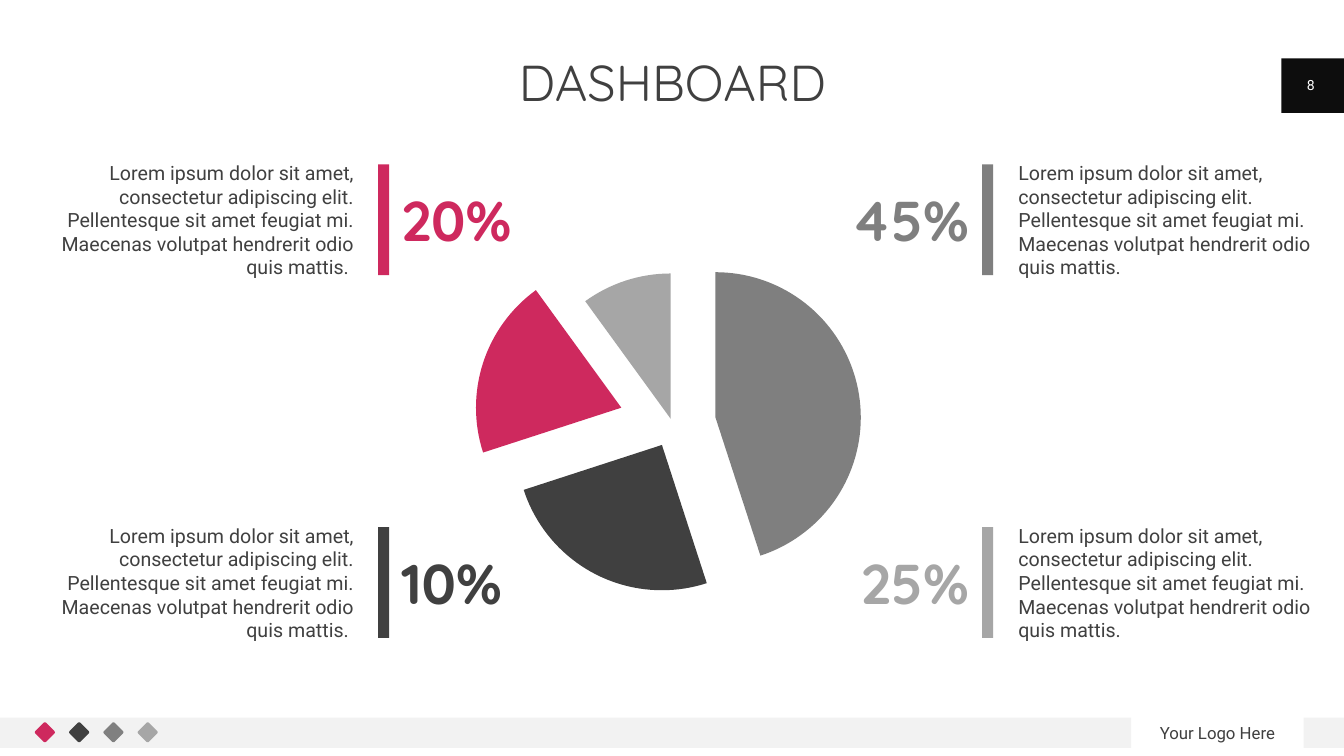
"""Build the dashboard slide with an exploded pie and four captions."""
from lxml import etree
from pptx import Presentation, util as u
from pptx.chart import data as chart_data
from pptx.dml import color
from pptx.enum import chart as charts, shapes, text

RED, DARK, GREY, SILVER = "CE295E", "404040", "7F7F7F", "A6A6A6"
LEFT, CENTER, RIGHT = text.PP_ALIGN.LEFT, text.PP_ALIGN.CENTER, text.PP_ALIGN.RIGHT
CAPTION = ("Lorem ipsum dolor sit amet, consectetur adipiscing elit. "
           "Pellentesque sit amet feugiat mi. Maecenas volutpat hendrerit odio quis mattis.")


def rgb(value):
    """Turn a hex string into a colour."""
    return color.RGBColor.from_string(value)


def apply(target, formats):
    """Set every attribute named in a dict."""
    for name, value in formats.items():
        setattr(target, name, value)


class Slide:
    """Hold the style and the current slide."""

    heading, body = "Quicksand", "Roboto"

    def __init__(self, deck):
        """Add a blank slide to the deck."""
        self.page = deck.slides.add_slide(deck.slide_layouts[6])

    def block(self, left, top, width, height, fill, kind=shapes.MSO_SHAPE.RECTANGLE):
        """Add a filled shape without outline."""
        box = self.page.shapes.add_shape(kind, *map(u.Inches, (left, top, width, height)))
        box.shadow.inherit = False
        box.fill.solid()
        box.fill.fore_color.rgb = rgb(fill)
        box.line.fill.background()
        return box

    def diamond(self, left, fill):
        """Add a small rounded diamond to the footer."""
        box = self.block(left, 7.19, 0.15, 0.15, fill, shapes.MSO_SHAPE.ROUNDED_RECTANGLE)
        box.adjustments[0] = 0.11
        box.rotation = 45

    def label(self, words, left, top, width, height, size, fill=DARK, align=CENTER,
              font=None, bold=False, anchor=text.MSO_ANCHOR.MIDDLE, spacing=1.0):
        """Add a text box with a single paragraph."""
        box = self.page.shapes.add_textbox(*map(u.Inches, (left, top, width, height)))
        apply(box.text_frame, {
            "word_wrap": True, "vertical_anchor": anchor, "margin_left": 0,
            "margin_right": 0, "margin_top": 0, "margin_bottom": 0})
        para = box.text_frame.paragraphs[0]
        apply(para, {"alignment": align, "line_spacing": spacing})
        span = para.add_run()
        span.text = words
        apply(span.font, {"name": font or self.body, "size": u.Pt(size), "bold": bold})
        span.font.color.rgb = rgb(fill)

    def pie(self, left, top, width, height, slices):
        """Add a pie whose slices are (value, colour, explosion)."""
        data = chart_data.CategoryChartData()
        data.categories = [str(number + 1) for number in range(len(slices))]
        data.add_series("Series 1", [value for value, _, _ in slices])
        chart = self.page.shapes.add_chart(
            charts.XL_CHART_TYPE.PIE, *map(u.Inches, (left, top, width, height)), data).chart
        apply(chart, {"has_legend": False, "has_title": False})
        apply(chart.font, {"name": self.body, "size": u.Pt(10)})
        chart.font.color.rgb = rgb("000000")
        plot = chart.plots[0]
        plot.vary_by_categories = True
        for index, (_, fill, explosion) in enumerate(slices):
            point = plot.series[0].points[index]
            point.format.fill.solid()
            point.format.fill.fore_color.rgb = rgb(fill)
            point.format.line.fill.background()
            element = plot.series[0]._element.findall("{*}dPt")[index]
            space = etree.QName(element).namespace
            offset = etree.Element(f"{{{space}}}explosion", val=str(explosion))
            element.find("{*}spPr").addprevious(offset)
        self.frame_plot(chart, {"x": 0.27, "y": 0.16, "w": 0.46, "h": 0.68})

    def frame_plot(self, chart, extent):
        """Place the plot area inside the chart."""
        area = chart._chartSpace.find(".//{*}plotArea")
        space = etree.QName(area).namespace
        layout = area.find("{*}layout")
        if layout is None:
            layout = etree.Element(f"{{{space}}}layout")
            area.insert(0, layout)
        manual = etree.SubElement(layout, f"{{{space}}}manualLayout")
        settings = {"layoutTarget": "inner", "xMode": "edge", "yMode": "edge", **extent}
        for name, value in settings.items():
            etree.SubElement(manual, f"{{{space}}}{name}", val=str(value))

    def caption(self, share, fill, top, on_left):
        """Add a bar with its percentage and description."""
        bar, words, number = (3.75, 0.56, 3.98) if on_left else (9.74, 10.1, 7.53)
        self.block(bar, top, 0.11, 1.1, fill)
        self.label(CAPTION + " " * on_left, words, top - 0.04, 2.95, 1.18, 14,
                   align=RIGHT if on_left else LEFT)
        self.label(share, number, top + 0.21, 2.08, 0.67, 40, fill,
                   LEFT if on_left else RIGHT, self.heading, True)


def main():
    """Build and save the deck."""
    deck = Presentation()
    apply(deck, {"slide_width": u.Inches(13.33), "slide_height": u.Inches(7.5)})
    slide = Slide(deck)
    slide.block(0, 7.12, 11.22, 0.3, "F2F2F2")
    slide.block(12.93, 7.12, 0.4, 0.3, "F2F2F2")
    slide.block(12.71, 0.58, 0.62, 0.54, "0D0D0D")
    for index, fill in enumerate((RED, DARK, "808080", SILVER)):
        slide.diamond(0.37 + 0.34 * index, fill)
    slide.label("DASHBOARD", 0.92, 0.58, 11.5, 0.55, 36, font=slide.heading,
                anchor=text.MSO_ANCHOR.TOP, spacing=0.9)
    slide.label("Your Logo Here", 11.22, 7.12, 1.71, 0.3, 12)
    slide.label("8", 12.77, 0.64, 0.46, 0.4, 10, "FFFFFF")
    slide.pie(3.49, 2.09, 6.36, 4.24,
              [(45, GREY, 30), (25, DARK, 16), (20, RED, 37), (10, SILVER, 4)])
    for share, fill, top, on_left in (
            ("45%", GREY, 1.63, False), ("25%", SILVER, 5.23, False),
            ("20%", RED, 1.63, True), ("10%", DARK, 5.23, True)):
        slide.caption(share, fill, top, on_left)
    deck.save("out.pptx")


if __name__ == "__main__":
    main()
